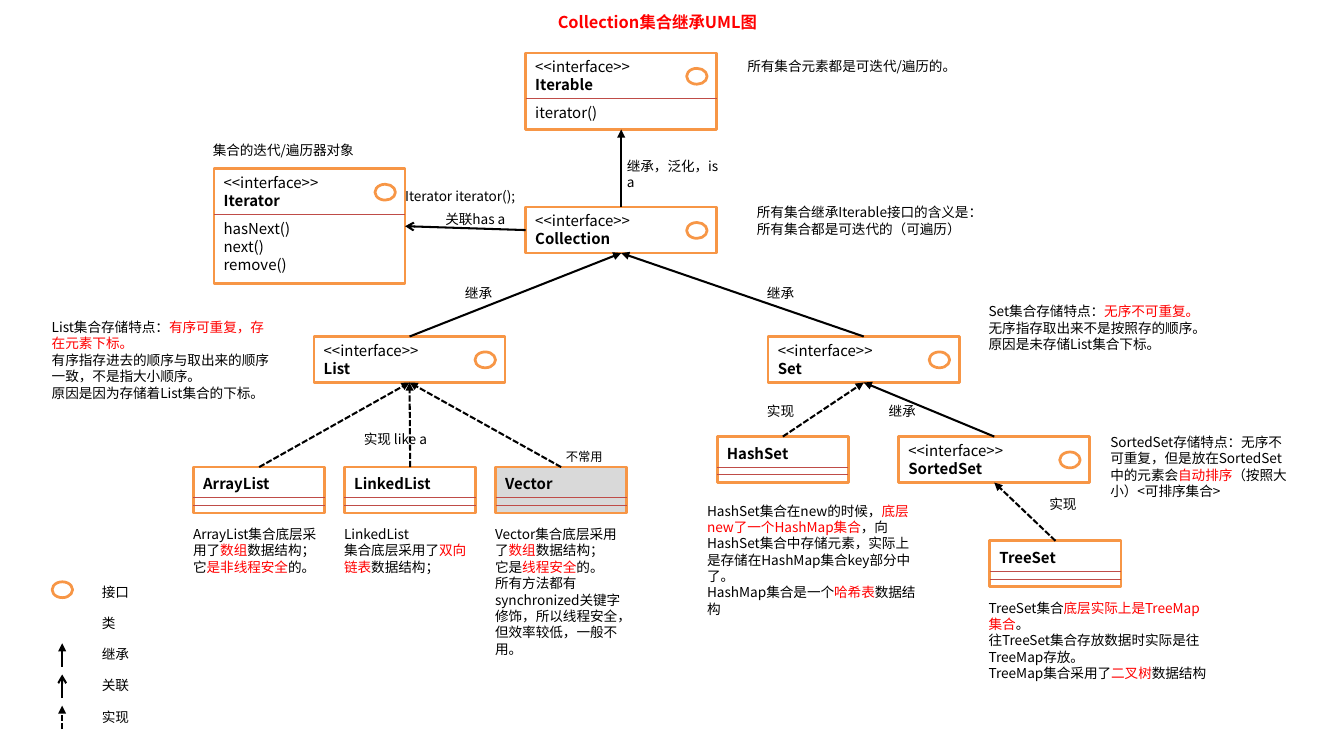
from lxml.etree import SubElement
from pptx import Presentation
from pptx.dml.color import RGBColor
from pptx.enum.dml import MSO_LINE
from pptx.enum.shapes import MSO_CONNECTOR, MSO_SHAPE
from pptx.enum.text import MSO_ANCHOR, MSO_AUTO_SIZE, PP_ALIGN
from pptx.oxml.ns import qn
from pptx.util import Cm, Pt

TITLE = "Collection集合继承UML图"

INTERFACES = [
    ("Iterable", 13.61, 1.37, 1.98, ["iterator()"]),
    ("Iterator", 5.54, 4.37, 2.97, ["hasNext()", "next()", "remove()"]),
    ("Collection", 13.61, 5.36, 1.19, []),
    ("List", 8.13, 8.71, 1.19, []),
    ("Set", 19.89, 8.71, 1.19, []),
    ("SortedSet", 23.27, 11.3, 1.19, []),
]
CLASSES = [
    ("ArrayList", 5.01, 12.09),
    ("LinkedList", 8.92, 12.09),
    ("Vector", 12.83, 12.09),
    ("HashSet", 18.57, 11.3),
    ("TreeSet", 25.63, 14),
]
RARELY_USED = "Vector"

INHERIT, ASSOCIATE, IMPLEMENT = "继承", "关联", "实现"
ARROW_STYLES = {
    INHERIT: ("triangle", False),
    ASSOCIATE: ("arrow", False),
    IMPLEMENT: ("triangle", True),
}
RELATIONS = [
    ("Collection", "Iterable", INHERIT),
    ("Collection", "Iterator", ASSOCIATE),
    ("List", "Collection", INHERIT),
    ("Set", "Collection", INHERIT),
    ("ArrayList", "List", IMPLEMENT),
    ("LinkedList", "List", IMPLEMENT),
    ("Vector", "List", IMPLEMENT),
    ("HashSet", "Set", IMPLEMENT),
    ("SortedSet", "Set", INHERIT),
    ("TreeSet", "SortedSet", IMPLEMENT),
]
LEGEND = ["接口", "类", INHERIT, ASSOCIATE, IMPLEMENT]

# Text between bars is red: left, top, width, line count, paragraphs
NOTES = [
    (15.98, 3.96, 3.12, 2, ["继承，泛化，is a"]),
    (19.61, 7.24, 1.83, 1, ["继承"]),
    (11.79, 7.24, 1.83, 1, ["继承"]),
    (11.28, 5.33, 2.08, 2, ["关联has a"]),
    (10.24, 4.75, 6.27, 1, ["Iterator iterator();"]),
    (9.17, 11.02, 4.17, 1, ["实现 like a"]),
    (19.61, 10.31, 1.83, 1, ["实现"]),
    (22.76, 10.31, 1.83, 1, ["继承"]),
    (26.92, 12.7, 1.83, 1, ["实现"]),
    (5.26, 3.56, 5.74, 1, ["集合的迭代/遍历器对象"]),
    (19.1, 1.37, 6.27, 1, ["所有集合元素都是可迭代/遍历的。"]),
    (19.35, 5.16, 6.27, 2, ["所有集合继承Iterable接口的含义是：所有集合都是可迭代的（可遍历）"]),
    (1.09, 8.13, 6.27, 5, [
        "List集合存储特点：|有序可重复，存在元素下标。|",
        "有序指存进去的顺序与取出来的顺序一致，不是指大小顺序。",
        "原因是因为存储着List集合的下标。"]),
    (25.35, 7.72, 6.27, 3, [
        "Set集合存储特点：|无序不可重复。|",
        "无序指存取出来不是按照存的顺序。",
        "原因是未存储List集合下标。"]),
    (4.75, 13.49, 3.91, 3, [
        "ArrayList集合底层采用了|数组|数据结构；",
        "它|是非线程安全|的。"]),
    (8.66, 13.49, 3.91, 3, [
        "LinkedList",
        "集合底层采用了|双向链表|数据结构；"]),
    (12.57, 13.49, 3.91, 8, [
        "Vector集合底层采用了|数组|数据结构；",
        "它是|线程安全|的。",
        "所有方法都有synchronized关键字修饰，所以线程安全，但效率较低，一般不用。"]),
    (18.06, 12.88, 5.99, 7, [
        "HashSet集合在new的时候，|底层new了一个HashMap集合|，向HashSet集合中存储元素，"
        "实际上是存储在HashMap集合key部分中了。",
        "HashMap集合是一个|哈希表|数据结构"]),
    (25.35, 15.39, 6.27, 5, [
        "TreeSet集合|底层实际上是TreeMap集合|。",
        "往TreeSet集合存放数据时实际是往TreeMap存放。",
        "TreeMap集合采用了|二叉树|数据结构"]),
    (28.5, 11.1, 5.21, 4, [
        "SortedSet存储特点：无序不可重复，但是放在SortedSet中的元素会|自动排序|（按照大小）<可排序集合>"]),
]
RARE_NOTE = (14.4, 11.51, 2.34, 1, ["不常用"])

FONT = "Noto Sans CJK SC"
BLACK = RGBColor(0, 0, 0)
WHITE = RGBColor(255, 255, 255)
RED = RGBColor(255, 0, 0)
ORANGE = RGBColor(0xF7, 0x96, 0x46)
BRICK = RGBColor(0xBF, 0x4C, 0x48)
GREY = RGBColor(0xD9, 0xD9, 0xD9)
INTERFACE_WIDTH, CLASS_WIDTH, HEADER_HEIGHT = 4.95, 3.4, 1.19
TOP, LEFT, BOTTOM, RIGHT = range(4)

deck = Presentation()
deck.slide_width, deck.slide_height = Cm(34.8), Cm(19.05)
slide = deck.slides.add_slide(deck.slide_layouts[5])
shapes = slide.shapes


def style_run(run, size, color=BLACK, bold=False):
    run.font.size = Pt(size)
    run.font.bold = bold
    run.font.color.rgb = color
    run.font.name = FONT
    SubElement(run.font._element, qn("a:ea"), typeface=FONT)


def add_outline(preset, x, y, width, height, fill=WHITE):
    outline = shapes.add_shape(preset, Cm(x), Cm(y), Cm(width), Cm(height))
    outline.shadow.inherit = False
    outline.fill.solid()
    outline.fill.fore_color.rgb = fill
    outline.line.color.rgb = ORANGE
    outline.line.width = Pt(2)
    return outline


def add_ring(x, y):
    add_outline(MSO_SHAPE.OVAL, x, y, 0.53, 0.41)


def add_line(x1, y1, x2, y2, color, width):
    line = shapes.add_connector(MSO_CONNECTOR.STRAIGHT, Cm(x1), Cm(y1), Cm(x2), Cm(y2))
    line.line.color.rgb = color
    line.line.width = Pt(width)
    return line


def flatten(line):
    SubElement(line._element.spPr, qn("a:effectLst"))


def add_arrow(kind, x1=0, y1=0, x2=0, y2=0):
    head, dashed = ARROW_STYLES[kind]
    arrow = add_line(x1, y1, x2, y2, BLACK, 1.5)
    if dashed:
        arrow.line.dash_style = MSO_LINE.SQUARE_DOT
    SubElement(arrow.line._get_or_add_ln(), qn("a:tailEnd"), type=head)
    flatten(arrow)
    return arrow


def add_divider(x, y, width):
    flatten(add_line(x, y, x + width, y, BRICK, 0.75))


def add_box(name, x, y, width, height, lines, fill=WHITE):
    box = add_outline(MSO_SHAPE.RECTANGLE, x, y, width, height, fill)
    frame = box.text_frame
    frame.word_wrap = True
    frame.vertical_anchor = MSO_ANCHOR.TOP
    frame.text = "\n".join(lines)
    for paragraph in frame.paragraphs:
        paragraph.alignment = PP_ALIGN.LEFT
        style_run(paragraph.runs[0], 11, bold=paragraph.text == name)
    return box


def add_note(x, y, width, line_count, paragraphs, size=10):
    note = shapes.add_textbox(Cm(x), Cm(y), Cm(width), Cm(0.26 + 0.42 * line_count))
    frame = note.text_frame
    frame.word_wrap = True
    for index, content in enumerate(paragraphs):
        paragraph = frame.paragraphs[0] if index == 0 else frame.add_paragraph()
        for position, part in enumerate(content.split("|")):
            if part:
                run = paragraph.add_run()
                run.text = part
                style_run(run, size, RED if position % 2 else BLACK)


title = shapes.title
title.left, title.top, title.width, title.height = Cm(13.11), Cm(0.2), Cm(7.82), Cm(0.76)
title.text_frame.text = TITLE
title.text_frame.auto_size = MSO_AUTO_SIZE.NONE
title.text_frame.vertical_anchor = MSO_ANCHOR.TOP
title.text_frame.paragraphs[0].alignment = PP_ALIGN.CENTER
style_run(title.text_frame.paragraphs[0].runs[0], 12, RED, True)

boxes = {}
for name, x, y, height, methods in INTERFACES:
    box = add_box(name, x, y, INTERFACE_WIDTH, height, ["<<interface>>", name, *methods])
    if methods:
        box.text_frame.paragraphs[2].space_before = Pt(7)
        add_divider(x, y + HEADER_HEIGHT, INTERFACE_WIDTH)
    add_ring(x + 4.17, y + 0.4)
    boxes[name] = box

for name, x, y in CLASSES:
    fill = GREY if name == RARELY_USED else WHITE
    boxes[name] = add_box(name, x, y, CLASS_WIDTH, HEADER_HEIGHT, [name], fill)
    boxes[name].text_frame.margin_top = Cm(0.2)
    for offset in (0.79, 0.99):
        add_divider(x, y + offset, CLASS_WIDTH)

for child, parent, kind in RELATIONS:
    start, end = (LEFT, RIGHT) if kind == ASSOCIATE else (TOP, BOTTOM)
    arrow = add_arrow(kind)
    arrow.begin_connect(boxes[child], start)
    arrow.end_connect(boxes[parent], end)

for note in NOTES:
    add_note(*note)
add_note(*RARE_NOTE, size=9)

for row, meaning in enumerate(LEGEND):
    y = 14.99 + 0.806 * row
    add_note(2.39, y, 1.83, 1, [meaning])
    if meaning in ARROW_STYLES:
        add_arrow(meaning, 1.61, y + 0.66, 1.61, y + 0.05)
    elif row == 0:
        add_ring(1.35, y + 0.07)

deck.save("out.pptx")
